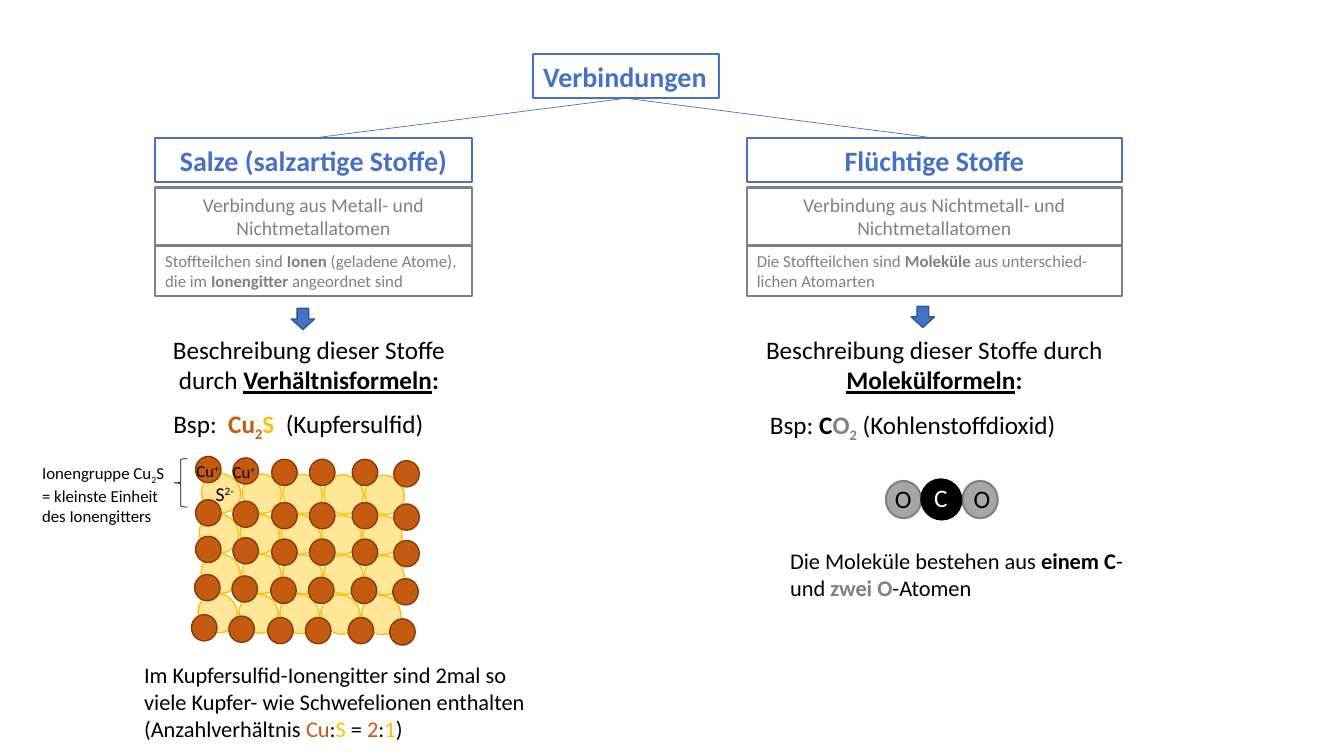
from pptx import Presentation
from pptx.dml.color import RGBColor
from pptx.enum.shapes import MSO_CONNECTOR as Connector, MSO_SHAPE as Shape
from pptx.enum.text import MSO_AUTO_SIZE as AutoSize, PP_ALIGN as Align
from pptx.oxml.ns import qn
from pptx.util import Pt
from lxml.etree import SubElement

BLUE, DARK_BLUE = "4472C4", "325491"
GREY, LIGHT_GREY = "808080", "A6A6A6"
BLACK, WHITE = "000000", "FFFFFF"
COPPER, DARK_COPPER = "C55A11", "843C0B"
SULFUR, LIGHT_SULFUR = "FFC000", "FFE699"


def color(hex_code):
    return RGBColor.from_string(hex_code)


def span(text, hue=None, bold=False, underline=False, base=0):
    """Describe one run; base is the raise or drop in percent."""
    return text, hue, bold, underline, base


def add_text(page, left, top, width, height, size, spans, hue=BLACK,
             align=Align.LEFT, border=None, wrap=True):
    box = page.shapes.add_textbox(Pt(left), Pt(top), Pt(width), Pt(height))
    frame = box.text_frame
    frame.word_wrap = wrap
    frame.auto_size = AutoSize.SHAPE_TO_FIT_TEXT
    if border:
        box.line.color.rgb = color(border)
        box.line.width = Pt(1.5)
    para = frame.paragraphs[0]
    para.alignment = align
    for text, own_hue, bold, underline, base in spans:
        run = para.add_run()
        run.text = text
        font = run.font
        font.name, font.size = "Calibri", Pt(size)
        font.bold, font.underline = bold, underline
        font.color.rgb = color(own_hue or hue)
        if base:
            run._r.get_or_add_rPr().set("baseline", str(base * 1000))


def add_figure(page, kind, left, top, width, height, fill, line,
               line_width=1, rotation=0):
    figure = page.shapes.add_shape(kind, Pt(left), Pt(top), Pt(width), Pt(height))
    figure.shadow.inherit = False
    figure.rotation = rotation
    if fill:
        figure.fill.solid()
        figure.fill.fore_color.rgb = color(fill)
    else:
        figure.fill.background()
    figure.line.color.rgb = color(line)
    figure.line.width = Pt(line_width)


def add_branch(page, start, end):
    branch = page.shapes.add_connector(
        Connector.STRAIGHT, *(Pt(value) for value in (*start, *end)))
    branch.line.color.rgb = color(BLUE)
    branch.line.width = Pt(0.5)
    SubElement(branch._element.spPr, qn("a:effectLst"))


def add_root(page, left, top, width, height, branch_ends):
    add_text(page, left, top, width, height, 20, [span("Verbindungen", bold=True)],
             BLUE, border=BLUE, wrap=False)
    for end in branch_ends:
        add_branch(page, (left + width / 2, top + height), end)


def add_class(page, left, top, width, title, makeup, particles):
    """Stack the heading and the two grey boxes of one class of substances."""
    add_text(page, left, top, width, 31.5, 20, [span(title, bold=True)],
             BLUE, Align.CENTER, BLUE)
    add_text(page, left, top + 35.3, width, 41.2, 14, [span(makeup)],
             GREY, Align.CENTER, GREY)
    add_text(page, left, top + 76.8, width, 36.4, 12, particles, GREY, border=GREY)


def add_formula(page, left, top, width, arrow, formula_kind, example, example_at):
    """Place the arrow, the kind of formula and an example below a class."""
    add_figure(page, Shape.DOWN_ARROW, *arrow, 16.6, 15.1, BLUE, DARK_BLUE)
    add_text(page, left, top, width, 50.9, 18,
             [span("Beschreibung dieser Stoffe durch "),
              span(formula_kind, bold=True, underline=True), span(":", bold=True)],
             align=Align.CENTER)
    add_text(page, *example_at, 233.3, 29.1, 18, example)


def add_lattice(page, left, top):
    sulfur_rows = [(5.1, 97.5), (7.2, 69.2), (5.9, 40.5), (7.4, 11.8)]
    for shift, drop in sulfur_rows:
        for column in range(5):
            add_figure(page, Shape.OVAL, left + shift + column * 29.2,
                       top + drop + column * 0.3, 27.4, 28.8,
                       LIGHT_SULFUR, SULFUR, rotation=314.5)
    copper_rows = [(2.9, 0), (2.9, 30.9), (2.9, 57), (2.2, 84.3), (0, 113)]
    copper_columns = [(0, 0), (26.7, 1), (54.4, 2), (81.4, 2), (111.9, 2), (141.6, 3)]
    for shift, drop in copper_rows:
        for across, sag in copper_columns:
            add_figure(page, Shape.OVAL, left + shift + across, top + drop + sag,
                       18.2, 18.7, COPPER, DARK_COPPER)
    ions = [(-3.6, -0.7, 31.7, 12, "Cu", "+"), (22.3, 0, 79.2, 12, "Cu", "+"),
            (10.1, 14.4, 30.2, 14, "S", "2-")]
    for across, drop, width, size, symbol, charge in ions:
        add_text(page, left + across, top + drop, width, size * 1.8, size,
                 [span(symbol), span(charge, base=30)])


def add_ion_group_note(page, left, top):
    add_figure(page, Shape.LEFT_BRACE, left + 101.5, top + 0.7, 9.4, 34.6,
               None, BLACK, 0.5)
    add_text(page, left, top, 103, 51.1, 12,
             [span("Ionengruppe Cu"), span("2", base=-25),
              span("S = kleinste Einheit des Ionengitters")])


def add_molecule(page, left, top):
    for across in (0, 54.7):
        add_figure(page, Shape.OVAL, left + across, top + 2.2, 26.6, 25.2,
                   LIGHT_GREY, GREY, 1.5, 268.5)
    add_figure(page, Shape.OVAL, left + 25.9, top, 28.8, 29.5, BLACK, BLACK,
               rotation=314.5)
    labels = [("C", 28.1, -0.7, WHITE), ("O", 0, 0, BLACK), ("O", 56.2, 0, BLACK)]
    for symbol, across, drop, hue in labels:
        add_text(page, left + across, top + drop, 25.9, 29.1, 18, [span(symbol)], hue)


def add_salts(page, left, top):
    add_class(page, left, top, 226.1, "Salze (salzartige Stoffe)",
              "Verbindung aus Metall- und Nichtmetallatomen",
              [span("Stoffteilchen sind "), span("Ionen", bold=True),
               span(" (geladene Atome), die im "), span("Ionengitter", bold=True),
               span(" angeordnet sind")])
    add_formula(page, left - 15.1, top + 136.8, 249.8, (left + 97.2, top + 121.7),
                "Verhältnisformeln",
                [span("Bsp:  "), span("Cu", COPPER, True),
                 span("2", COPPER, True, base=-25), span("S ", SULFUR, True),
                 span(" (Kupfersulfid)")],
                (left + 5.8, top + 189.4))
    add_lattice(page, left + 25.9, top + 227.5)
    add_text(page, left - 15.1, top + 370.1, 287.3, 65.5, 16,
             [span("Im Kupfersulfid-Ionengitter sind 2mal so viele Kupfer- wie "
                   "Schwefelionen enthalten (Anzahlverhältnis "),
              span("Cu", COPPER), span(":"), span("S", SULFUR), span(" = "),
              span("2", COPPER), span(":"), span("1", SULFUR), span(")")])
    add_ion_group_note(page, left - 87.9, top + 228.3)


def add_volatiles(page, left, top):
    add_class(page, left, top, 267.8, "Flüchtige Stoffe",
              "Verbindung aus Nichtmetall- und Nichtmetallatomen",
              [span("Die Stoffteilchen sind "), span("Moleküle", bold=True),
               span(" aus unterschied-lichen Atomarten")])
    add_formula(page, left, top + 136.8, 267.8, (left + 117.4, top + 120.2),
                "Molekülformeln",
                [span("Bsp: "), span("C", bold=True), span("O", GREY, True),
                 span("2", GREY, True, base=-25), span(" (Kohlenstoffdioxid)")],
                (left + 9.4, top + 190.1))
    add_molecule(page, left + 98.6, top + 243.4)
    add_text(page, left + 23.8, top + 288.7, 267.8, 46, 16,
             [span("Die Moleküle bestehen aus "), span("einem C", bold=True),
              span("- und "), span("zwei O", GREY, True), span("-Atomen")])


def main():
    deck = Presentation()
    deck.slide_width, deck.slide_height = Pt(960), Pt(540)
    page = deck.slides.add_slide(deck.slide_layouts[6])
    class_top = 98.6
    add_root(page, 380.9, 38.7, 132.5, 31.5,
             [(223.9, class_top), (667.4, class_top)])
    add_salts(page, 110.9, class_top)
    add_volatiles(page, 533.5, class_top)
    deck.save("out.pptx")


if __name__ == "__main__":
    main()
